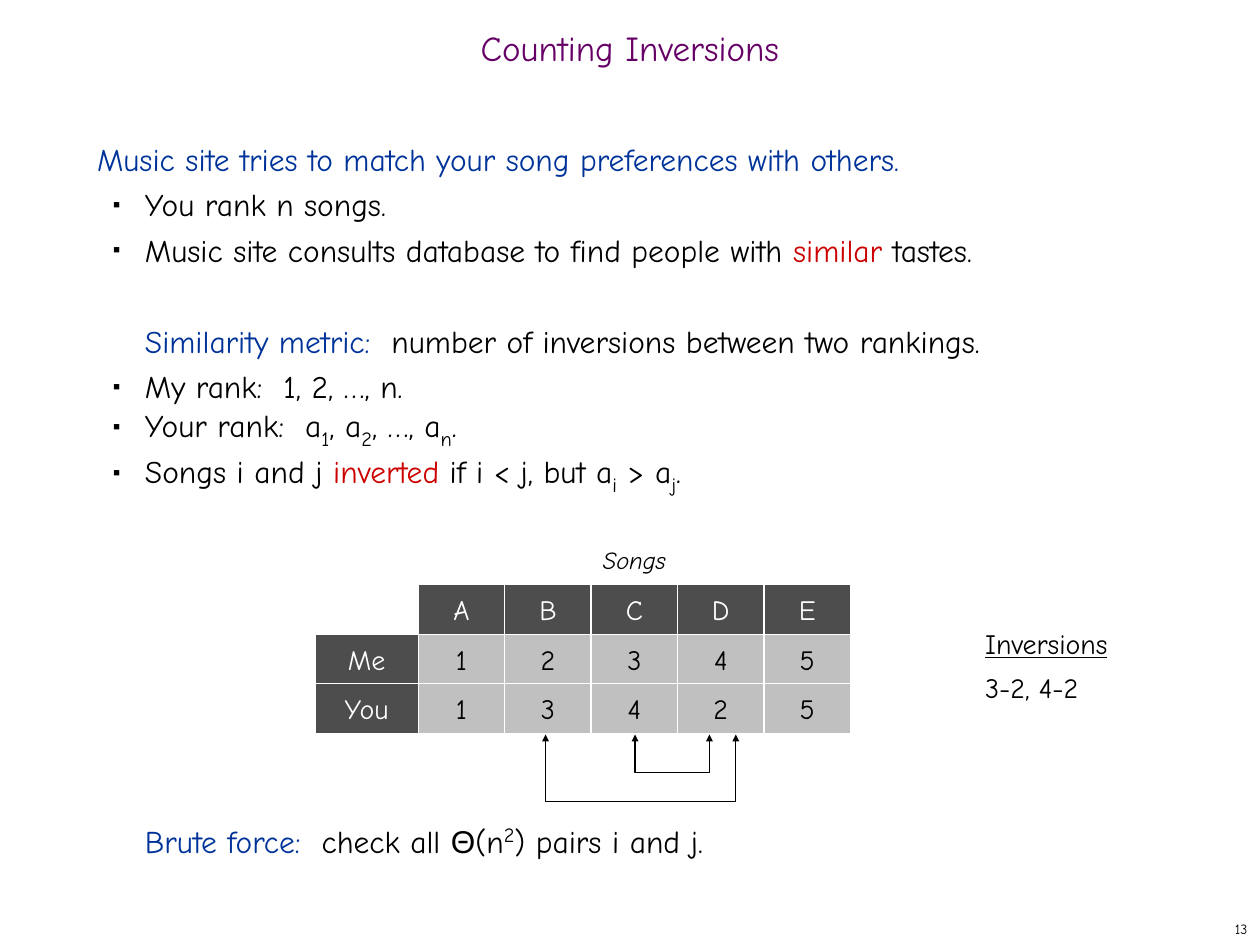
from lxml.etree import SubElement
from pptx import Presentation
from pptx.dml.color import RGBColor
from pptx.enum.shapes import MSO_SHAPE as Shape
from pptx.enum.text import MSO_ANCHOR as Anchor, MSO_AUTO_SIZE as AutoSize, PP_ALIGN as Align
from pptx.oxml.ns import qn
from pptx.util import Inches, Pt

FONT = "Comic Neue"
BLACK, WHITE, BLUE, RED = "000000", "FFFFFF", "003399", "CC0000"
DARK, LIGHT, PURPLE = "4D4D4D", "C0C0C0", "660066"


def rgb(value):
    return RGBColor.from_string(value)


def add_run(paragraph, text, size, color=BLACK, font=FONT):
    run = paragraph.add_run()
    run.text = text
    run.font.size = Pt(size)
    run.font.name = font
    run.font.color.rgb = rgb(color)
    return run


presentation = Presentation()
presentation.slide_width = Inches(10)
presentation.slide_height = Inches(7.5)
slide = presentation.slides.add_slide(presentation.slide_layouts[1])

title = slide.shapes.title
title.left, title.top, title.width, title.height = Inches(0), Inches(0.17), Inches(10), Inches(0.5)
title.text_frame.auto_size = AutoSize.NONE
title.text_frame.vertical_anchor = Anchor.MIDDLE
heading = title.text_frame.paragraphs[0]
heading.alignment = Align.CENTER
heading.line_spacing = 0.7
add_run(heading, "Counting Inversions", 20, PURPLE)

body = slide.placeholders[1]
body.left, body.top, body.width, body.height = Inches(0.67), Inches(1), Inches(8.58), Inches(5.92)
body.text_frame.auto_size = AutoSize.NONE
body.text_frame.vertical_anchor = Anchor.TOP

LINE = 26
SUB, SUPER = "-25000", "30000"
body_lines = [
    ("lead", 0, [("Music site tries to match your song preferences with others.", BLUE)]),
    ("bullet", 0, [("You rank n songs.", BLACK)]),
    ("bullet", 0, [("Music site consults database to find people with ", BLACK),
                   ("similar", RED), (" tastes.", BLACK)]),
    ("plain", 1, [("Similarity metric:  ", BLUE),
                  ("number of inversions between two rankings.", BLACK)]),
    ("bullet", 0, [("My rank:  1, 2, …, n.", BLACK)]),
    ("bullet", 0, [("Your rank:  a", BLACK), ("1", SUB), (", a", BLACK), ("2", SUB),
                   (", …, a", BLACK), ("n", SUB), (".", BLACK)]),
    ("bullet", 0, [("Songs i and j ", BLACK), ("inverted", RED), (" if i < j, but a", BLACK),
                   ("i", SUB), (" > a", BLACK), ("j", SUB), (".", BLACK)]),
    ("plain", 7, [("Brute force:  ", BLUE), ("check all ", BLACK), ("Θ", BLACK), ("(n", BLACK),
                  ("2", SUPER), (") pairs i and j.", BLACK)]),
]
for index, (kind, lines_above, pieces) in enumerate(body_lines):
    paragraph = body.text_frame.paragraphs[0] if index == 0 else body.text_frame.add_paragraph()
    paragraph.level = 1 if kind == "bullet" else 0
    paragraph.line_spacing = Pt(LINE)
    paragraph.space_before = Pt(LINE * lines_above)
    properties = paragraph._p.get_or_add_pPr()
    properties.set("marL", str(Inches(0 if kind == "lead" else 0.38)))
    properties.set("indent", str(Inches(-0.25 if kind == "bullet" else 0)))
    if kind == "bullet":
        SubElement(SubElement(properties, qn("a:buClr")), qn("a:srgbClr"), val=BLACK)
        SubElement(properties, qn("a:buSzPct"), val="35000")
        SubElement(properties, qn("a:buFont"), typeface="Arial")
        SubElement(properties, qn("a:buChar"), char="■")
    else:
        SubElement(properties, qn("a:buNone"))
    for text, style in pieces:
        if style in (SUB, SUPER):
            script_run = add_run(paragraph, text, 20)
            script_run.font._element.set("baseline", style)
        else:
            add_run(paragraph, text, 18, style, "Arial" if text == "Θ" else FONT)

for left, right, bottom in [(4.33, 5.84, 6.36), (5.04, 5.63, 6.13)]:
    builder = slide.shapes.build_freeform(Inches(left), Inches(5.83))
    builder.add_line_segments([(Inches(left), Inches(bottom)), (Inches(right), Inches(bottom)),
                               (Inches(right), Inches(5.83))], close=False)
    bracket = builder.convert_to_shape()
    bracket.shadow.inherit = False
    bracket.fill.background()
    bracket.line.color.rgb = rgb(BLACK)
    bracket.line.width = Pt(0.75)
    for end in ("a:headEnd", "a:tailEnd"):
        SubElement(bracket.line._get_or_add_ln(), qn(end), type="triangle", w="sm", len="sm")

rankings = [["", "A", "B", "C", "D", "E"],
            ["Me", "1", "2", "3", "4", "5"],
            ["You", "1", "3", "4", "2", "5"]]
GRID_LEFT, GRID_TOP = Inches(2.5), Inches(4.64)
NAME_WIDTH, SONG_WIDTH, ROW_HEIGHT = Inches(0.82), Inches(3.43) // 5, Inches(1.18) // 3
for row, values in enumerate(rankings):
    for column, value in enumerate(values):
        if not value:
            continue
        is_header = row == 0 or column == 0
        left = GRID_LEFT if column == 0 else GRID_LEFT + NAME_WIDTH + (column - 1) * SONG_WIDTH
        width = NAME_WIDTH if column == 0 else SONG_WIDTH
        cell = slide.shapes.add_shape(Shape.RECTANGLE, left, GRID_TOP + row * ROW_HEIGHT,
                                      width, ROW_HEIGHT)
        cell.shadow.inherit = False
        cell.fill.solid()
        cell.fill.fore_color.rgb = rgb(DARK if is_header else LIGHT)
        cell.line.color.rgb = rgb(WHITE)
        cell.line.width = Pt(0.75)
        cell.text_frame.word_wrap = False
        cell.text_frame.vertical_anchor = Anchor.MIDDLE
        paragraph = cell.text_frame.paragraphs[0]
        paragraph.alignment = Align.CENTER
        add_run(paragraph, value, 16, WHITE if is_header else BLACK)

labels = [
    ((3.32, 4.25, 3.43, 0.39), Align.CENTER, 14, ["Songs"]),
    ((7.72, 4.97, 1.18, 0.67), Align.LEFT, 16, ["Inversions", "3-2, 4-2"]),
    ((7.92, 7.25, 2.08, 0.25), Align.RIGHT, 8, ["13"]),
]
for box, alignment, size, texts in labels:
    label = slide.shapes.add_textbox(*[Inches(length) for length in box])
    label.text_frame.word_wrap = len(texts) == 1
    label.text_frame.vertical_anchor = Anchor.MIDDLE
    for index, text in enumerate(texts):
        paragraph = label.text_frame.paragraphs[0] if index == 0 else label.text_frame.add_paragraph()
        paragraph.alignment = alignment
        run = add_run(paragraph, text, size)
        run.font.italic = text == "Songs"
        run.font.underline = text == "Inversions"
        if len(texts) > 1:
            paragraph.line_spacing = 0.8
            paragraph.space_before = Pt(10)

presentation.save("out.pptx")
